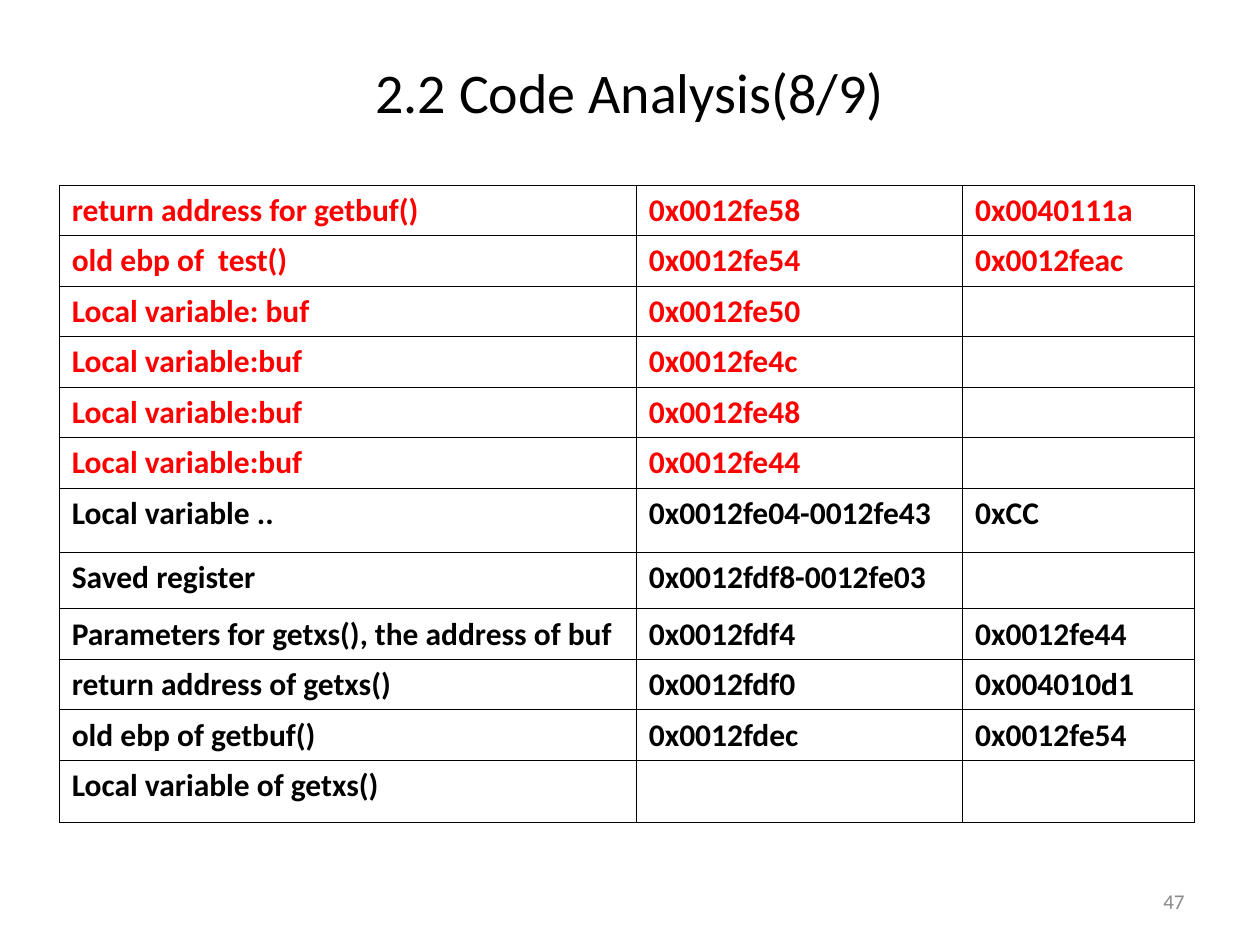
from lxml import etree
from pptx import Presentation
from pptx.dml.color import RGBColor
from pptx.enum import text
from pptx.oxml import ns
from pptx.util import Inches, Pt

BLACK = RGBColor(0x00, 0x00, 0x00)
RED = RGBColor(0xFF, 0x00, 0x00)
WHITE = RGBColor(0xFF, 0xFF, 0xFF)
GREY = RGBColor(0x89, 0x89, 0x89)
FONT = "Calibri"

COLUMN_WIDTHS = (4.58, 2.59, 1.84)
ROW_HEIGHT = 0.4
TALL_ROWS = {6: 0.51, 7: 0.45, 11: 0.49}
CALLER_ROWS = 6  # the leading rows shown in red

STACK = [
    ("return address for getbuf()", "0x0012fe58", "0x0040111a"),
    ("old ebp of  test()", "0x0012fe54", "0x0012feac"),
    ("Local variable: buf", "0x0012fe50", ""),
    ("Local variable:buf", "0x0012fe4c", ""),
    ("Local variable:buf", "0x0012fe48", ""),
    ("Local variable:buf", "0x0012fe44", ""),
    ("Local variable ..", "0x0012fe04-0012fe43", "0xCC"),
    ("Saved register", "0x0012fdf8-0012fe03", ""),
    ("Parameters for getxs(), the address of buf", "0x0012fdf4", "0x0012fe44"),
    ("return address of getxs()", "0x0012fdf0", "0x004010d1"),
    ("old ebp of getbuf()", "0x0012fdec", "0x0012fe54"),
    ("Local variable of getxs()", "", ""),
]


def format_font(font, size, color, bold=False):
    font.name = FONT
    font.size = Pt(size)
    font.bold = bold
    font.color.rgb = color


def add_label(slide, box, wording, size, color, align):
    frame = slide.shapes.add_textbox(*map(Inches, box)).text_frame
    frame.word_wrap = True
    frame.vertical_anchor = text.MSO_ANCHOR.MIDDLE
    frame.text = wording
    paragraph = frame.paragraphs[0]
    paragraph.alignment = align
    format_font(paragraph.runs[0].font, size, color)


def add_borders(cell, color, width):
    """Draw all four sides; call before the fill is set, as the schema orders them."""
    properties = cell._tc.get_or_add_tcPr()
    for side in ("lnL", "lnR", "lnT", "lnB"):
        line = etree.SubElement(properties, ns.qn(f"a:{side}"), w=str(Pt(width)))
        fill = etree.SubElement(line, ns.qn("a:solidFill"))
        etree.SubElement(fill, ns.qn("a:srgbClr"), val=str(color))


def add_stack_table(slide, left, top):
    heights = [TALL_ROWS.get(i, ROW_HEIGHT) for i in range(len(STACK))]
    table = slide.shapes.add_table(
        len(STACK), len(COLUMN_WIDTHS), Inches(left), Inches(top),
        Inches(sum(COLUMN_WIDTHS)), Inches(sum(heights))).table
    table.first_row = table.horz_banding = False
    for column, width in zip(table.columns, COLUMN_WIDTHS):
        column.width = Inches(width)
    for i, (row, height, entries) in enumerate(zip(table.rows, heights, STACK)):
        row.height = Inches(height)
        color = RED if i < CALLER_ROWS else BLACK
        for cell, entry in zip(row.cells, entries):
            add_borders(cell, BLACK, 0.5)
            cell.fill.solid()
            cell.fill.fore_color.rgb = WHITE
            if entry:
                cell.text = entry
                format_font(cell.text_frame.paragraphs[0].runs[0].font, 18, color, bold=True)


def main():
    deck = Presentation()
    deck.slide_width, deck.slide_height = Inches(10), Inches(7.5)
    slide = deck.slides.add_slide(deck.slide_layouts[6])
    add_label(slide, (0, 0.3, 10, 0.85), "2.2 Code Analysis(8/9)", 32, BLACK,
              text.PP_ALIGN.CENTER)
    add_stack_table(slide, 0.47, 1.47)
    add_label(slide, (7.17, 6.95, 2.33, 0.4), "47", 12, GREY, text.PP_ALIGN.RIGHT)
    deck.save("out.pptx")


if __name__ == "__main__":
    main()
